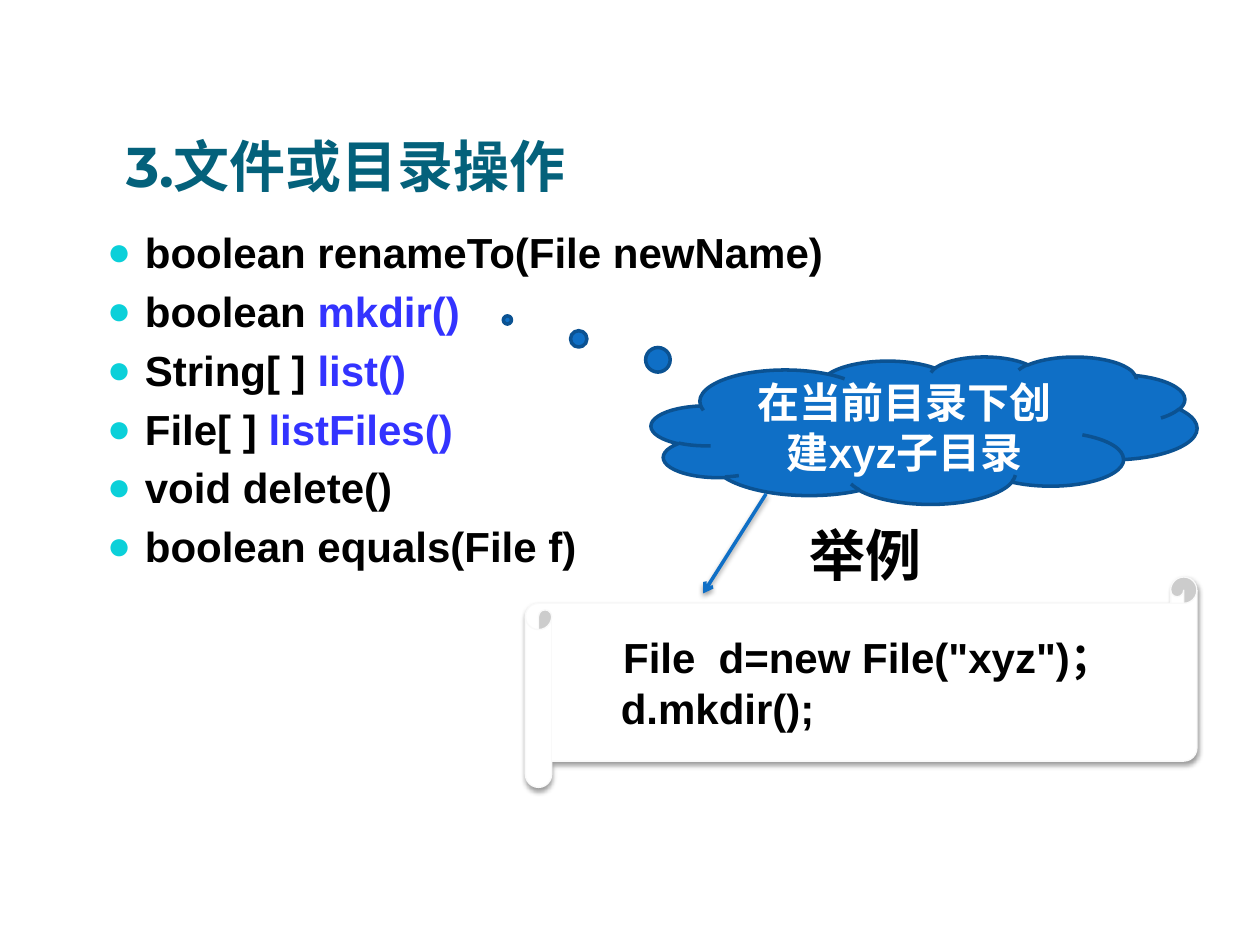
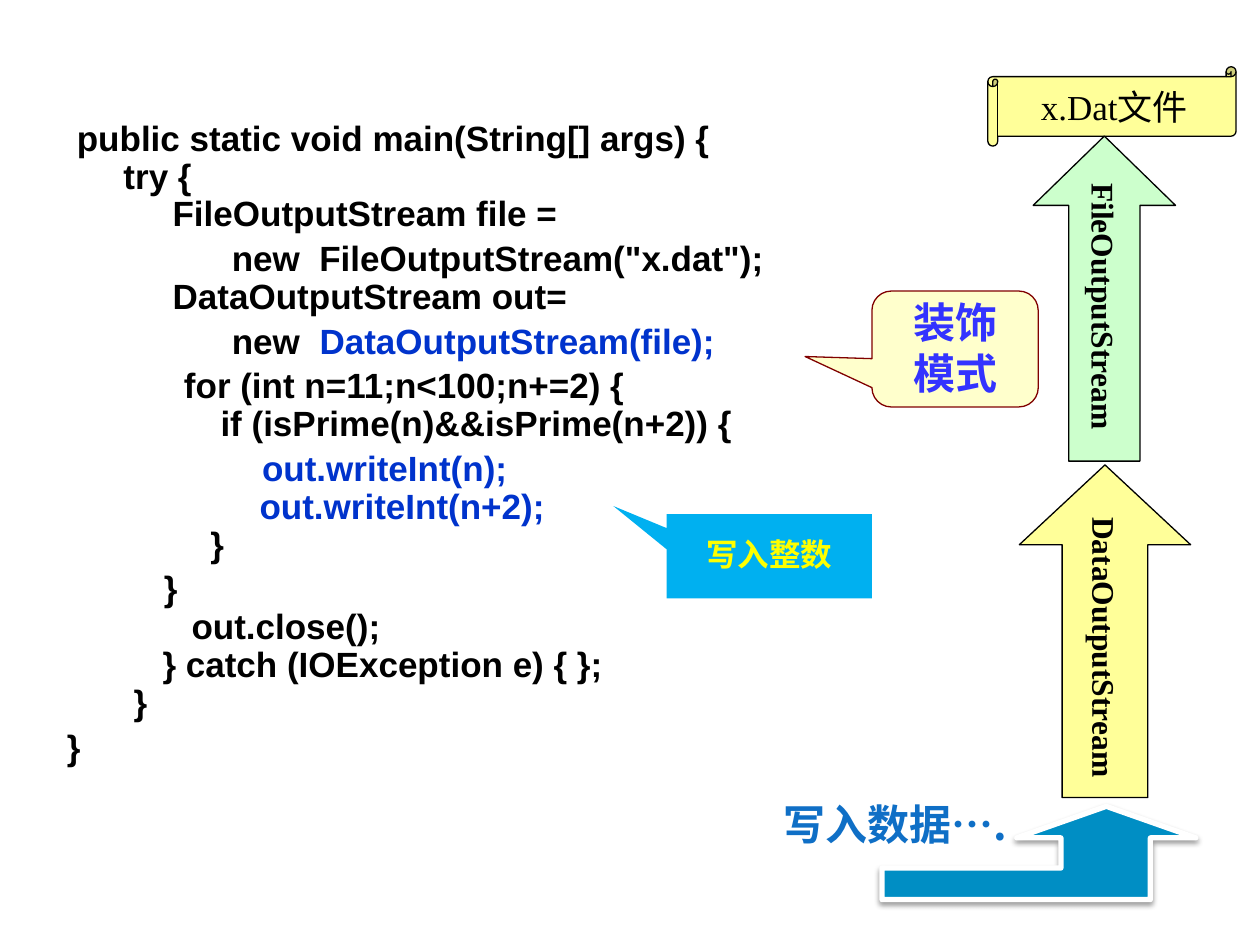
from lxml import etree
from pptx import Presentation
from pptx.dml.color import RGBColor
from pptx.enum.shapes import MSO_CONNECTOR, MSO_SHAPE
from pptx.enum.text import MSO_ANCHOR, MSO_AUTO_SIZE, PP_ALIGN
from pptx.oxml.ns import qn
from pptx.util import Pt

PX = 9144  # 100 px to the inch
MID, LOW, TOP = MSO_ANCHOR.MIDDLE, MSO_ANCHOR.BOTTOM, MSO_ANCHOR.TOP
LEFT, MIDST = PP_ALIGN.LEFT, PP_ALIGN.CENTER
FIXED = MSO_AUTO_SIZE.NONE
CLOUD, SCROLL = MSO_SHAPE.CLOUD_CALLOUT, MSO_SHAPE.HORIZONTAL_SCROLL
ARROW = MSO_SHAPE.UP_ARROW
WEDGE, ROUND = MSO_SHAPE.RECTANGULAR_CALLOUT, MSO_SHAPE.ROUNDED_RECTANGULAR_CALLOUT
LINE = MSO_CONNECTOR.STRAIGHT

SANS, HAN, SERIF, HEAD = "Arial", "Noto Sans CJK SC", "Times New Roman", "Montserrat"
BLACK, WHITE, BLUE = "000000", "FFFFFF", "0F6FC6"
VIOLET, NAVY, PALE = "3333FF", "0033CC", "FFFF99"
hue = RGBColor.from_string


def say(para, text, size, tint=BLACK, face=SANS, bold=True):
    """Add one formatted run."""
    run = para.add_run()
    run.text = text
    font = run.font
    font.size, font.bold, font.name = Pt(size), bold, face
    font.color.rgb = hue(tint)
    etree.SubElement(run._r.get_or_add_rPr(), qn("a:ea"), typeface=HAN)


def dress(shape, fill, line, wide, shade=False):
    """Set fill, outline and shadow; None means no fill or no line."""
    if fill:
        shape.fill.solid()
        shape.fill.fore_color.rgb = hue(fill)
    if line:
        shape.line.color.rgb = hue(line)
        shape.line.width = Pt(wide)
    else:
        shape.line.fill.background()
    glow = etree.SubElement(shape._element.spPr, qn("a:effectLst"))
    if shade:
        drop = etree.SubElement(glow, qn("a:outerShdw"), blurRad=str(Pt(3.1)),
                                dist=str(Pt(1.6)), dir="5400000", rotWithShape="0")
        ink = etree.SubElement(drop, qn("a:srgbClr"), val=BLACK)
        etree.SubElement(ink, qn("a:alpha"), val="38000")


deck = Presentation()
deck.slide_width, deck.slide_height = 1000 * PX, 750 * PX
page = deck.slide_layouts[1]
files, code = deck.slides.add_slide(page), deck.slides.add_slide(page)
title = files.shapes.title
code.shapes.title._element.getparent().remove(code.shapes.title._element)

# Title and body frames
for holder, box in [
    (title, (100, 75, 486, 83)),
    (files.placeholders[1], (75, 175, 824, 366)),
    (code.placeholders[1], (43, 91, 907, 638)),
]:
    holder.left, holder.top, holder.width, holder.height = [n * PX for n in box]
    holder.text_frame.auto_size = FIXED
    holder.text_frame.word_wrap = True

frame = title.text_frame
frame.vertical_anchor = LOW
frame.margin_left = frame.margin_right = frame.margin_bottom = 0
frame.margin_top = 5 * PX
frame.paragraphs[0].alignment = LEFT
say(frame.paragraphs[0], "3.文件或目录操作", 32, "04617B", HEAD)

# Bulleted methods: plain part, highlighted part
frame = files.placeholders[1].text_frame
for i, (plain, call) in enumerate([
    ("boolean renameTo(File newName)", ""),
    ("boolean ", "mkdir()"),
    ("String[ ] ", "list()"),
    ("File[ ] ", "listFiles()"),
    ("void delete()", ""),
    ("boolean equals(File f)", ""),
]):
    para = frame.add_paragraph() if i else frame.paragraphs[0]
    para.space_before = Pt(4.8)
    props = para._p.get_or_add_pPr()
    props.set("marL", str(30 * PX))
    props.set("indent", str(-30 * PX))
    tone = etree.SubElement(props, qn("a:buClr"))
    etree.SubElement(tone, qn("a:srgbClr"), val="0BD0D9")
    etree.SubElement(props, qn("a:buSzPct"), val="95000")
    etree.SubElement(props, qn("a:buChar"), char="●")
    say(para, plain, 24)
    if call:
        say(para, call, 24, VIOLET)

# Code lines: indent, space before, plain part, highlighted part
frame = code.placeholders[1].text_frame
for i, (dent, gap, plain, call) in enumerate([
    (8, 4, "public static void main(String[] args) {", ""),
    (45, 0, "try {", ""),
    (84, 0, "FileOutputStream file =", ""),
    (131, 4, 'new  FileOutputStream("x.dat");', ""),
    (84, 0, "DataOutputStream out=", ""),
    (131, 4, "new  ", "DataOutputStream(file);"),
    (93, 4, "for (int n=11;n<100;n+=2) {", ""),
    (122, 0, "if (isPrime(n)&&isPrime(n+2)) {", ""),
    (155, 4, "", "out.writeInt(n);"),
    (153, 0, "", "out.writeInt(n+2);"),
    (114, 0, "}", ""),
    (77, 4, "}", ""),
    (99, 0, "out.close();", ""),
    (76, 0, "} catch (IOException e) { };", ""),
    (53, 0, "}", ""),
    (0, 4, "}", ""),
]):
    para = frame.add_paragraph() if i else frame.paragraphs[0]
    para.line_spacing, para.space_before = 0.9, Pt(gap)
    props = para._p.get_or_add_pPr()
    props.set("marL", str(dent * PX))
    props.set("indent", "0")
    etree.SubElement(props, qn("a:buNone"))
    for text, tint in (plain, BLACK), (call, NAVY):
        if text:
            say(para, text, 20, tint)

# Shapes: slide, kind, box, adjustments, (fill, line, width, shadow), wrap, lines, font
for slide, kind, box, adjust, look, wrap, lines, font in [
    (files, CLOUD, (517, 283, 433, 117), (-0.764, -0.748), (BLUE, "0B5292", 2),
     True, ["在当前目录下创建xyz子目录"], (24, WHITE)),
    (files, SCROLL, (417, 458, 533, 167), (), (WHITE, "F9F9F9", 0.75, True),
     True, ['File  d=new File("xyz")；', "d.mkdir();"], (24,)),
    (code, SCROLL, (784, 53, 197, 63), (0.125,), (PALE, BLACK, 0.75),
     False, ["x.Dat文件"], (20, BLACK, SERIF, False)),
    (code, ARROW, (820, 108, 113, 258), (0.5, 0.487), ("CCFFCC", BLACK, 0.75),
     False, ["FileOutputStream"], (18, BLACK, SERIF)),
    (code, ARROW, (809, 369, 136, 264), (0.5, 0.466), (PALE, BLACK, 0.75),
     False, ["DataOutputStream"], (18, BLACK, SERIF)),
    (code, WEDGE, (529, 408, 163, 67), (-0.759, -0.595), ("00B0F0", None, 0),
     True, ["写入整数"], (18, "FFFF00", HAN)),
    (code, ROUND, (692, 231, 132, 92), (-0.902, 0.065, 0.167), ("FFFFCC", "800000", 0.75),
     True, ["装饰", "模式"], (24, VIOLET)),
]:
    shape = slide.shapes.add_shape(kind, *[n * PX for n in box])
    for i, value in enumerate(adjust):
        shape.adjustments[i] = value
    dress(shape, *look)
    frame = shape.text_frame
    frame.word_wrap = wrap
    frame.vertical_anchor = TOP if kind == ROUND else MID
    if kind == ARROW:
        frame._txBody.bodyPr.set("vert", "eaVert")
    if kind == ROUND:
        frame.margin_left = frame.margin_right = frame.margin_top = frame.margin_bottom = 0
    for i, text in enumerate(lines):
        para = frame.add_paragraph() if i else frame.paragraphs[0]
        para.alignment = MIDST
        if kind == WEDGE:
            para.line_spacing, para.space_before, para.space_after = 0.9, Pt(6), Pt(3)
        if text == "d.mkdir();":
            para.alignment = LEFT
            para._p.get_or_add_pPr().set("marL", str(45 * PX))
        say(para, text, *font)

# Pointer from the cloud to the example
link = files.shapes.add_connector(LINE, 608 * PX, 392 * PX, 558 * PX, 471 * PX)
dress(link, None, BLUE, 2, True)
etree.SubElement(link.line._get_or_add_ln(), qn("a:tailEnd"), type="arrow")

# Bent arrow for incoming data
pen = code.shapes.build_freeform(878, 640, scale=PX)
pen.add_line_segments([(807, 665), (842, 665), (842, 689), (700, 689), (700, 714),
                       (913, 714), (913, 665), (949, 665)], close=True)
dress(pen.convert_to_shape(), "008EC4", WHITE, 3, True)

# Free labels
for slide, box, text, font, wrap, side, hold in [
    (files, (633, 408, 142, 64), "举例", (32,), True, LEFT, TOP),
    (code, (604, 622, 213, 63), "写入数据….", (24, BLUE, HAN), False, MIDST, MID),
]:
    frame = slide.shapes.add_textbox(*[n * PX for n in box]).text_frame
    frame.word_wrap, frame.vertical_anchor = wrap, hold
    frame.paragraphs[0].alignment = side
    say(frame.paragraphs[0], text, *font)

deck.save("out.pptx")
